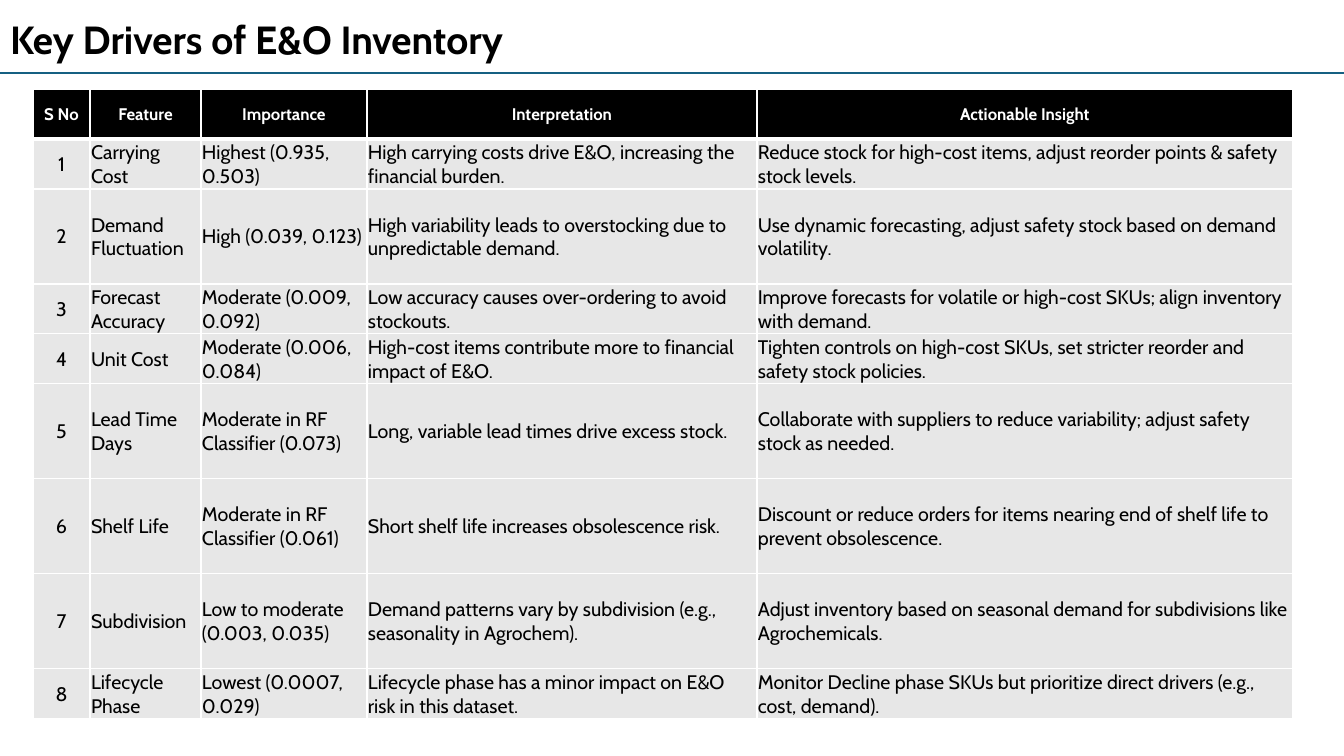
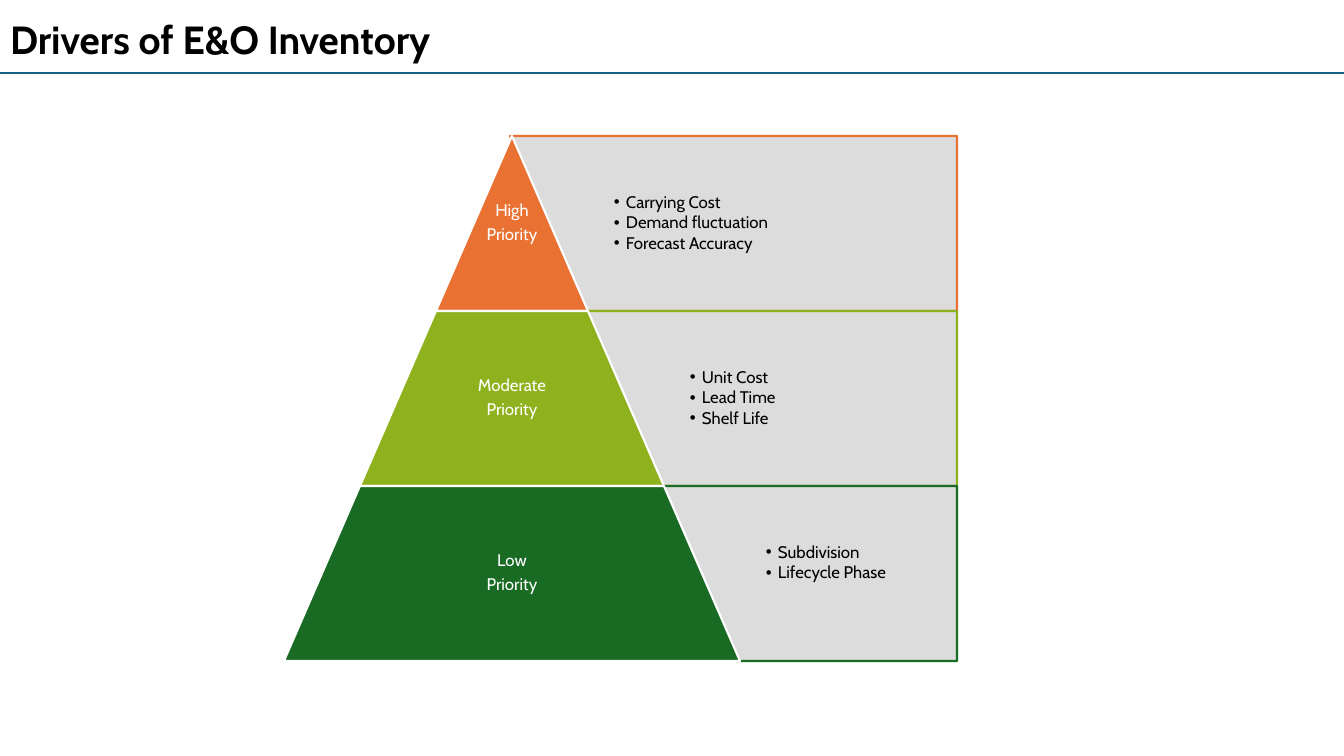
import pptx
import pptx.util
import pptx.dml.color
import pptx.enum.shapes
import pptx.enum.text
import pptx.oxml.ns
import lxml.etree

PX = 9071
WIDE, HIGH = 1344, 756
FONT = "Cabin"
BLACK, WHITE, BLUE = "000000", "FFFFFF", "156082"
PALE, GREY = "E7E7E7", "D9D9D9"
FORM = pptx.enum.shapes.MSO_SHAPE
ALIGN = pptx.enum.text.PP_ALIGN
MID = pptx.enum.text.MSO_ANCHOR.MIDDLE
Pt = pptx.util.Pt
qn = pptx.oxml.ns.qn


def hue(code):
    return pptx.dml.color.RGBColor.from_string(code)


def style(frame, size, color, align, inset, bold=False, lines=1.0, after=0):
    frame.word_wrap = True
    frame.auto_size = pptx.enum.text.MSO_AUTO_SIZE.NONE
    frame.vertical_anchor = MID
    frame.margin_left = frame.margin_right = inset * PX
    frame.margin_top = frame.margin_bottom = inset * PX
    for para in frame.paragraphs:
        para.alignment = align
        para.line_spacing = lines
        para.space_before = Pt(0)
        para.space_after = Pt(after)
        for run in para.runs:
            run.font.name = FONT
            run.font.size = Pt(size)
            run.font.bold = bold
            run.font.color.rgb = hue(color)


deck = pptx.Presentation()
deck.slide_width, deck.slide_height = WIDE * PX, HIGH * PX

slides = []
for name, layout in [("Key Drivers of E&O Inventory", 5), ("Drivers of E&O Inventory", 4)]:
    slide = deck.slides.add_slide(deck.slide_layouts[layout])
    title = slide.shapes.title
    title.left, title.top, title.width, title.height = 0, 10 * PX, WIDE * PX, 58 * PX
    title.text_frame.text = name
    style(title.text_frame, 28, BLACK, ALIGN.LEFT, 10, bold=True)
    rule = slide.shapes.add_connector(
        pptx.enum.shapes.MSO_CONNECTOR.STRAIGHT, 0, 73 * PX, WIDE * PX, 73 * PX)
    rule.line.color.rgb = hue(BLUE)
    rule.line.width = Pt(1.5)
    lxml.etree.SubElement(rule._element.spPr, qn("a:effectLst"))
    slides.append(slide)

first, second = slides

rows = [
    ("S No", "Feature", "Importance", "Interpretation", "Actionable Insight"),
    ("1", "Carrying Cost", "Highest (0.935, 0.503)",
     "High carrying costs drive E&O, increasing the financial burden.",
     "Reduce stock for high-cost items, adjust reorder points & safety stock levels."),
    ("2", "Demand Fluctuation", "High (0.039, 0.123)",
     "High variability leads to overstocking due to unpredictable demand.",
     "Use dynamic forecasting, adjust safety stock based on demand volatility."),
    ("3", "Forecast Accuracy", "Moderate (0.009, 0.092)",
     "Low accuracy causes over-ordering to avoid stockouts.",
     "Improve forecasts for volatile or high-cost SKUs; align inventory with demand."),
    ("4", "Unit Cost", "Moderate (0.006, 0.084)",
     "High-cost items contribute more to financial impact of E&O.",
     "Tighten controls on high-cost SKUs, set stricter reorder and safety stock policies."),
    ("5", "Lead Time Days", "Moderate in RF Classifier (0.073)",
     "Long, variable lead times drive excess stock.",
     "Collaborate with suppliers to reduce variability; adjust safety stock as needed."),
    ("6", "Shelf Life", "Moderate in RF Classifier (0.061)",
     "Short shelf life increases obsolescence risk.",
     "Discount or reduce orders for items nearing end of shelf life to prevent obsolescence."),
    ("7", "Subdivision", "Low to moderate (0.003, 0.035)",
     "Demand patterns vary by subdivision (e.g., seasonality in Agrochem).",
     "Adjust inventory based on seasonal demand for subdivisions like Agrochemicals."),
    ("8", "Lifecycle Phase", "Lowest (0.0007, 0.029)",
     "Lifecycle phase has a minor impact on E&O risk in this dataset.",
     "Monitor Decline phase SKUs but prioritize direct drivers (e.g., cost, demand)."),
]
widths = [57, 111, 166, 390, 536]
heights = [50, 50, 95, 50, 50, 95, 95, 95, 50]
table = first.shapes.add_table(
    len(rows), len(widths), 33 * PX, 89 * PX, sum(widths) * PX, sum(heights) * PX).table
table.horz_banding = False
for col, width in zip(table.columns, widths):
    col.width = width * PX
for r, (row, height) in enumerate(zip(rows, heights)):
    table.rows[r].height = height * PX
    head = r == 0
    for c, words in enumerate(row):
        cell = table.cell(r, c)
        cell.text_frame.text = words
        align = ALIGN.CENTER if head or c == 0 else ALIGN.LEFT
        style(cell.text_frame, 12 if head else 14, WHITE if head else BLACK,
              align, 1, bold=head)
        cell.vertical_anchor = MID
        cell.margin_left = cell.margin_right = cell.margin_top = PX
        cell.margin_bottom = 0
        props = cell._tc.get_or_add_tcPr()
        for side in ("L", "R", "T", "B"):
            thick = (r, side) in [(0, "B"), (1, "T")]
            edge = lxml.etree.SubElement(props, qn("a:ln" + side), w=str(Pt(3 if thick else 1)))
            fill = lxml.etree.SubElement(edge, qn("a:solidFill"))
            lxml.etree.SubElement(fill, qn("a:srgbClr"), val=WHITE)
        cell.fill.solid()
        cell.fill.fore_color.rgb = hue(BLACK if head else PALE)

tiers = [
    ("High", "E97132", ["Carrying Cost", "Demand fluctuation", "Forecast Accuracy"]),
    ("Moderate", "8EB21E", ["Unit Cost", "Lead Time", "Shelf Life"]),
    ("Low", "196B24", ["Subdivision", "Lifecycle Phase"]),
]
APEX, TOP, TALL, STEP, RIGHT = 512, 136, 175, 76, 957
LINE = 21
slots = {slot.placeholder_format.idx: slot for slot in second.placeholders}
spare = slots[4]._element
spare.getparent().remove(spare)
shapes = second.shapes
for i, (level, color, items) in enumerate(tiers):
    top = TOP + i * TALL
    half = STEP * (i + 1)
    left = 510 + 75 * i
    panel = shapes.add_shape(
        FORM.NON_ISOSCELES_TRAPEZOID, left * PX, top * PX, (RIGHT - left) * PX, TALL * PX)
    panel.rotation = 180
    panel.adjustments[0] = 0
    panel.adjustments[1] = STEP / TALL
    tier = shapes.add_shape(
        FORM.TRAPEZOID, (APEX - half) * PX, top * PX, 2 * half * PX, TALL * PX)
    tier.adjustments[0] = STEP / min(2 * half, TALL)
    for shape, fill, line in [(panel, GREY, color), (tier, color, WHITE)]:
        shape.shadow.inherit = False
        shape.fill.solid()
        shape.fill.fore_color.rgb = hue(fill)
        shape.line.color.rgb = hue(line)
        shape.line.width = Pt(1.5)
    tint = panel._element.spPr.find(qn("a:solidFill")).find(qn("a:srgbClr"))
    lxml.etree.SubElement(tint, qn("a:alpha"), val="90000")

    label = shapes.add_textbox((APEX - half) * PX, top * PX, 2 * half * PX, TALL * PX)
    label.text_frame.text = level + "\nPriority"
    style(label.text_frame, 12, WHITE, ALIGN.CENTER, 2, lines=0.9, after=4.2)

    body = slots[i + 1]
    body.left, body.top = (APEX + half) * PX, top * PX
    body.width, body.height = (RIGHT - APEX - half) * PX, TALL * PX
    frame = body.text_frame
    frame.text = "\n".join(items)
    style(frame, 12, BLACK, ALIGN.LEFT, 26, lines=0.9, after=1.8)
    frame.margin_bottom = (26 + LINE * (3 - len(items))) * PX
    for para in frame.paragraphs:
        props = para._p.get_or_add_pPr()
        props.set("marL", str(12 * PX))
        props.set("indent", str(-12 * PX))
        lxml.etree.SubElement(props, qn("a:buChar"), char="•")
    shapes._spTree.append(body._element)

deck.save("out.pptx")
